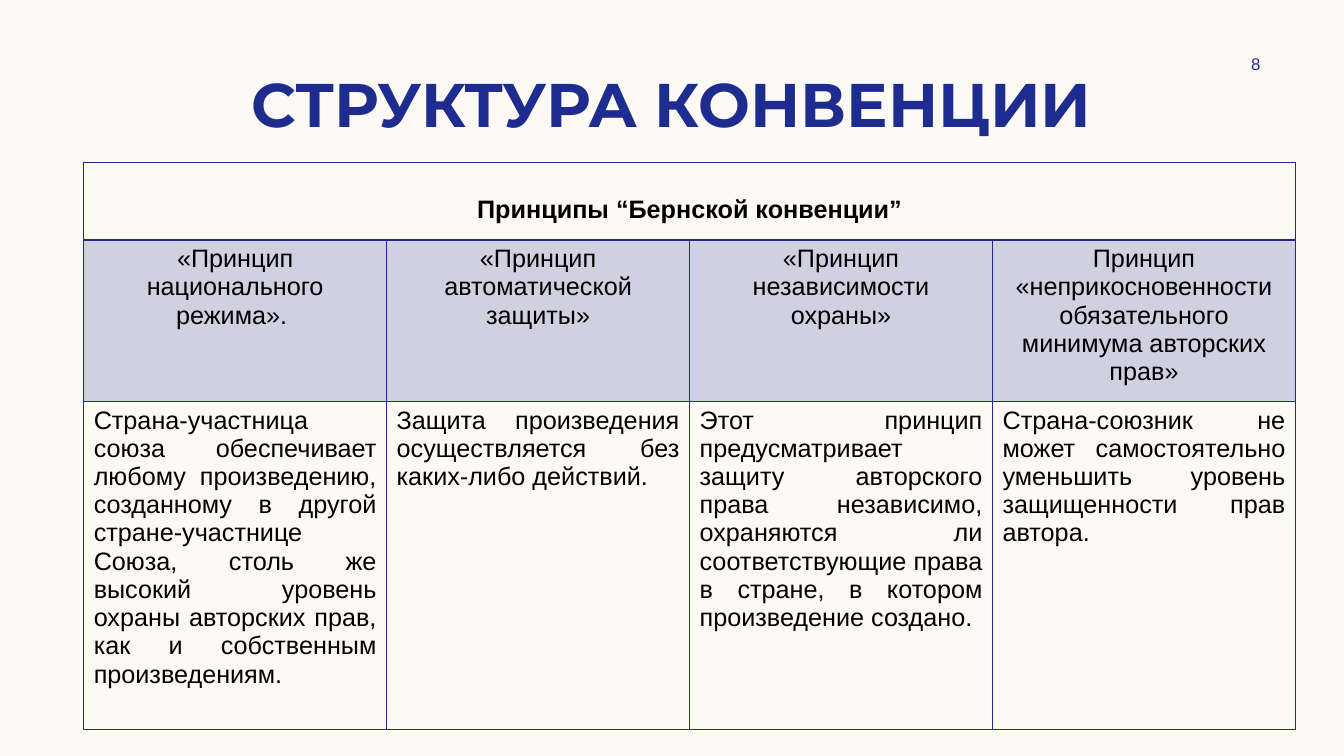
from lxml.etree import SubElement
from pptx import Presentation
from pptx.dml.color import RGBColor
from pptx.enum.text import MSO_ANCHOR, PP_ALIGN
from pptx.oxml import parse_xml
from pptx.oxml.ns import nsdecls, qn
from pptx.util import Inches, Pt

NAVY, BLACK, CREAM = "1F2C8F", "000000", "FDFAF6"

HEADING = "Принципы “Бернской конвенции”"
PRINCIPLES = [
    ("«Принцип национального режима». ",
     "Страна-участница союза обеспечивает любому произведению, созданному в другой "
     "стране-участнице Союза, столь же высокий уровень охраны авторских прав, "
     "как и собственным произведениям. "),
    ("«Принцип автоматической защиты»",
     "Защита произведения осуществляется без каких-либо действий."),
    ("«Принцип независимости охраны»",
     "Этот принцип предусматривает защиту авторского права независимо, охраняются ли "
     "соответствующие права в стране, в котором произведение создано."),
    ("Принцип «неприкосновенности обязательного минимума авторских прав»",
     "Страна-союзник не может самостоятельно уменьшить уровень защищенности прав автора."),
]


def rgb(value):
    return RGBColor.from_string(value)


class SlideBuilder:
    def __init__(self, slide):
        self.slide = slide
        slide.background.fill.solid()
        slide.background.fill.fore_color.rgb = rgb(CREAM)

    def set_text(self, frame, content, size, color, align, font="Arial", bold=False):
        paragraph = frame.paragraphs[0]
        paragraph.text = content
        paragraph.alignment = align
        paragraph.font.name = font
        paragraph.font.size = Pt(size)
        paragraph.font.bold = bold
        paragraph.font.color.rgb = rgb(color)

    def text(self, place, content, size, align, anchor, right=0.1, **style):
        frame = self.slide.shapes.add_textbox(*map(Inches, place)).text_frame
        frame.word_wrap = True
        frame.vertical_anchor = anchor
        frame.margin_right = Inches(right)
        self.set_text(frame, content, size, NAVY, align, **style)

    def table(self, left, top, widths, heights):
        table = self.slide.shapes.add_table(
            len(heights), len(widths), Inches(left), Inches(top),
            Inches(sum(widths)), Inches(sum(heights))).table
        table.first_row = table.horz_banding = False
        for column, width in zip(table.columns, widths):
            column.width = Inches(width)
        for row, height in zip(table.rows, heights):
            row.height = Inches(height)
        return table

    def cell(self, cell, content, align, opacity=0, top=1, bottom=1, bold=False):
        """Fill one cell; opacity is the percentage of navy tint, edges are in points."""
        self.set_text(cell.text_frame, content, 18, BLACK, align, bold=bold)
        if opacity:
            cell.fill.solid()
            cell.fill.fore_color.rgb = rgb(NAVY)
        else:
            cell.fill.background()
        properties = cell._tc.get_or_add_tcPr()
        if opacity:
            tint = properties.find(qn("a:solidFill"))[0]
            SubElement(tint, qn("a:alpha")).set("val", str(opacity * 1000))
        edges = {"lnL": 1, "lnR": 1, "lnT": top, "lnB": bottom}
        for index, (edge, width) in enumerate(edges.items()):
            properties.insert(index, parse_xml(
                f'<a:{edge} {nsdecls("a")} w="{Pt(width)}"><a:solidFill>'
                f'<a:srgbClr val="{NAVY}"/></a:solidFill></a:{edge}>'))


def main():
    deck = Presentation()
    deck.slide_width, deck.slide_height = Inches(13.33), Inches(7.5)
    builder = SlideBuilder(deck.slides.add_slide(deck.slide_layouts[6]))

    builder.text((0.83, 0.5, 11.66, 0.94), "СТРУКТУРА КОНВЕНЦИИ", 44, PP_ALIGN.CENTER,
                 MSO_ANCHOR.BOTTOM, font="Montserrat", bold=True)
    builder.text((11.42, 0.5, 1.08, 0.27), "8", 12, PP_ALIGN.RIGHT,
                 MSO_ANCHOR.MIDDLE, right=0)

    principles = builder.table(0.83, 1.61, [3.005] * len(PRINCIPLES), [0.77, 1.57, 3.26])
    for column, (principle, meaning) in enumerate(PRINCIPLES):
        builder.cell(principles.cell(0, column), "" if column else HEADING,
                     PP_ALIGN.CENTER, bottom=2, bold=True)
        builder.cell(principles.cell(1, column), principle, PP_ALIGN.CENTER,
                     opacity=20, top=2)
        builder.cell(principles.cell(2, column), meaning, PP_ALIGN.JUSTIFY)
    heading = principles.cell(0, 0)
    heading.merge(principles.cell(0, len(PRINCIPLES) - 1))
    heading.margin_top = Inches(0.33)

    deck.save("out.pptx")


if __name__ == "__main__":
    main()
